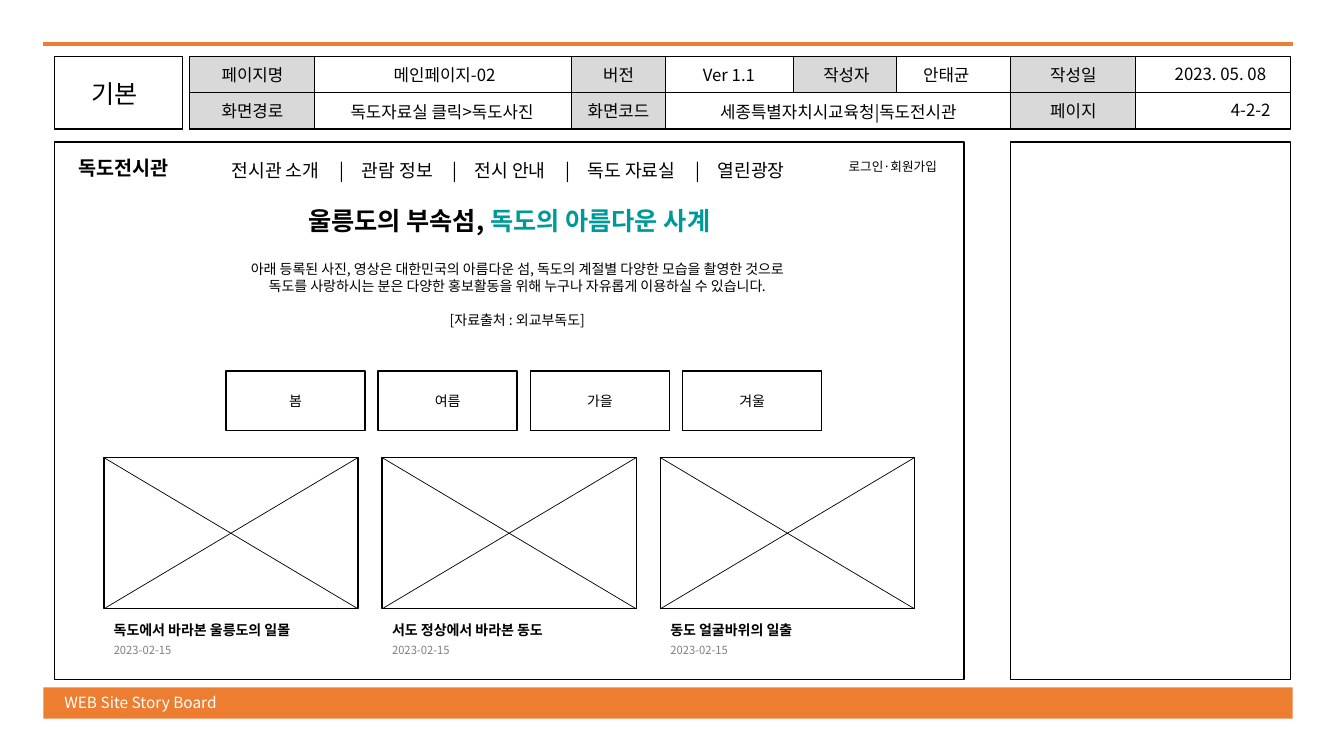
from dataclasses import dataclass

from lxml.etree import SubElement
from pptx import Presentation
from pptx.dml.color import RGBColor
from pptx.enum.shapes import MSO_CONNECTOR as CONN, MSO_SHAPE as SHAPE
from pptx.enum.text import MSO_ANCHOR as ANCHOR, MSO_AUTO_SIZE as FIT, PP_ALIGN as ALIGN
from pptx.oxml.ns import qn
from pptx.util import Emu, Pt

PX = 9144  # EMU in one px, 100 px to the inch


@dataclass(frozen=True)
class Theme:
    font: str = "Noto Sans CJK KR"
    ink: str = "000000"
    white: str = "FFFFFF"
    accent: str = "ED7D31"
    label: str = "D9D9D9"
    teal: str = "009999"
    muted: str = "808080"
    heading: int = 18
    brand: int = 14
    nav: int = 13
    cell: int = 12
    footer: int = 11
    body: int = 10
    login: int = 9
    date: int = 8


@dataclass(frozen=True)
class Box:
    x: int
    y: int
    w: int
    h: int


@dataclass(frozen=True)
class Label:
    text: str
    box: Box
    size: int
    align: ALIGN = ALIGN.CENTER
    color: str = "000000"
    bold: bool = False
    wrap: bool = True


@dataclass(frozen=True)
class Card:
    title: str
    date: str
    title_w: int


T = Theme()
LEFT, RIGHT = ALIGN.LEFT, ALIGN.RIGHT

PANELS = [Box(54, 56, 127, 72), Box(188, 56, 1092, 72),
          Box(54, 141, 902, 533), Box(1002, 141, 278, 533)]
LABEL_CELLS = [Box(188, 56, 124, 72), Box(567, 56, 93, 72),
               Box(1002, 56, 124, 72), Box(787, 56, 102, 36)]
LABELS = [
    Label("WEB Site Story Board", Box(54, 683, 226, 29), T.footer, LEFT, T.white),
    Label("기본", Box(76, 73, 75, 40), T.heading),
    Label("페이지명", Box(204, 59, 93, 30), T.cell),
    Label("화면경로", Box(204, 95, 93, 30), T.cell),
    Label("메인페이지-02", Box(331, 59, 220, 30), T.cell),
    Label("독도자료실 클릭>독도사진", Box(311, 96, 255, 30), T.cell),
    Label("버전", Box(585, 59, 57, 30), T.cell),
    Label("화면코드", Box(567, 95, 93, 30), T.cell),
    Label("Ver 1.1", Box(684, 59, 78, 30), T.cell),
    Label("세종특별자치시교육청|독도전시관", Box(686, 96, 291, 30), T.cell),
    Label("작성자", Box(802, 59, 75, 30), T.cell),
    Label("안태균", Box(901, 59, 75, 30), T.cell),
    Label("작성일", Box(1027, 59, 75, 30), T.cell),
    Label("페이지", Box(1027, 95, 75, 30), T.cell),
    Label("2023. 05. 08", Box(1150, 58, 121, 30), T.cell),
    Label("4-2-2", Box(1152, 94, 118, 30), T.cell, RIGHT),
    Label("독도전시관", Box(68, 150, 118, 34), T.brand, LEFT, bold=True, wrap=False),
    Label("로그인·회원가입", Box(828, 153, 111, 25), T.login, RIGHT, wrap=False),
]
NAV = ["전시관 소개", "관람 정보", "전시 안내", "독도 자료실", "열린광장"]
NAV_BARS = [109, 221, 333, 462]
NAV_GAP = 20
INTRO = ["아래 등록된 사진, 영상은 대한민국의 아름다운 섬, 독도의 계절별 다양한 모습을 촬영한 것으로",
         "독도를 사랑하시는 분은 다양한 홍보활동을 위해 누구나 자유롭게 이용하실 수 있습니다."]
SOURCE = "[자료출처 : 외교부독도]"
SEASONS = ["봄", "여름", "가을", "겨울"]
CARDS = [Card("독도에서 바라본 울릉도의 일몰", "2023-02-15", 217),
         Card("서도 정상에서 바라본 동도", "2023-02-15", 189),
         Card("동도 얼굴바위의 일출", "2023-02-15", 156)]


def place(sp, box: Box) -> None:
    sp.left, sp.top, sp.width, sp.height = (Emu(v * PX) for v in (box.x, box.y, box.w, box.h))


def add_rect(slide, box: Box, fill: str = "", outlined: bool = True) -> None:
    sp = slide.shapes.add_shape(SHAPE.RECTANGLE, 0, 0, 0, 0)
    place(sp, box)
    sp.shadow.inherit = False
    if fill:
        sp.fill.solid()
        sp.fill.fore_color.rgb = RGBColor.from_string(fill)
    else:
        sp.fill.background()
    if outlined:
        sp.line.color.rgb = RGBColor.from_string(T.ink)
        sp.line.width = Pt(1)
    else:
        sp.line.fill.background()


def add_line(slide, x1: int, y1: int, x2: int, y2: int, color: str, width: float) -> None:
    cx = slide.shapes.add_connector(CONN.STRAIGHT, *(Emu(v * PX) for v in (x1, y1, x2, y2)))
    cx.line.color.rgb = RGBColor.from_string(color)
    cx.line.width = Pt(width)
    SubElement(cx._element.spPr, qn("a:effectLst"))


def add_run(p, text: str, size: int, color: str = T.ink, bold: bool = False) -> None:
    r = p.add_run()
    r.text = text
    r.font.name = T.font
    r.font.size = Pt(size)
    r.font.bold = bold
    r.font.color.rgb = RGBColor.from_string(color)
    SubElement(r.font._element, qn("a:ea"), typeface=T.font)


def add_frame(slide, box: Box, wrap: bool = False):
    sp = slide.shapes.add_textbox(0, 0, 0, 0)
    place(sp, box)
    tf = sp.text_frame
    tf.word_wrap = wrap
    tf.auto_size = FIT.SHAPE_TO_FIT_TEXT
    return tf


def add_label(slide, label: Label) -> None:
    p = add_frame(slide, label.box, label.wrap).paragraphs[0]
    p.alignment = label.align
    add_run(p, label.text, label.size, label.color, label.bold)


def add_heading(slide) -> None:
    sp = slide.shapes.title
    place(sp, Box(272, 199, 466, 40))
    tf = sp.text_frame
    tf.word_wrap = False
    tf.auto_size = FIT.SHAPE_TO_FIT_TEXT
    tf.vertical_anchor = ANCHOR.TOP
    p = tf.paragraphs[0]
    p.alignment = ALIGN.CENTER
    add_run(p, "울릉도의 부속섬, ", T.heading, bold=True)
    add_run(p, "독도의 아름다운 사계", T.heading, T.teal, True)


def add_nav(slide) -> None:
    """Menu entries on left tab stops, with the bars on centred stops between them."""
    p = add_frame(slide, Box(220, 153, 568, 32), True).paragraphs[0]
    p.alignment = LEFT
    tabs = SubElement(p._p.get_or_add_pPr(), qn("a:tabLst"))
    for bar in NAV_BARS:
        SubElement(tabs, qn("a:tab"), pos=str(bar * PX), algn="ctr")
        SubElement(tabs, qn("a:tab"), pos=str((bar + NAV_GAP) * PX), algn="l")
    add_run(p, "\t|\t".join(NAV), T.nav)


def add_intro(slide) -> None:
    tf = add_frame(slide, Box(204, 254, 618, 77))
    p = tf.paragraphs[0]
    p.alignment = ALIGN.CENTER
    add_run(p, INTRO[0], T.body)
    p.add_line_break()
    add_run(p, INTRO[1], T.body)
    p = tf.add_paragraph()
    p.alignment = ALIGN.CENTER
    p.space_before = Pt(12)
    add_run(p, SOURCE, T.body)


def add_card(slide, x: int, card: Card) -> None:
    top, w, h = 454, 252, 150
    add_rect(slide, Box(x, top, w, h))
    add_line(slide, x, top, x + w, top + h, T.ink, 0.5)
    add_line(slide, x, top + h, x + w, top, T.ink, 0.5)
    add_label(slide, Label(card.title, Box(x, 612, card.title_w, 27), T.body, LEFT, bold=True, wrap=False))
    add_label(slide, Label(card.date, Box(x, 633, 78, 24), T.date, LEFT, T.muted, wrap=False))


def main() -> None:
    prs = Presentation()
    prs.slide_width, prs.slide_height = Emu(1333 * PX), Emu(750 * PX)
    slide = prs.slides.add_slide(prs.slide_layouts[5])
    add_rect(slide, Box(43, 682, 1239, 31), T.accent, outlined=False)
    add_line(slide, 43, 44, 1282, 44, T.accent, 3)
    for box in PANELS:
        add_rect(slide, box)
    for box in LABEL_CELLS:
        add_rect(slide, box, T.label)
    add_line(slide, 188, 92, 1280, 92, T.ink, 1)
    for label in LABELS:
        add_label(slide, label)
    add_heading(slide)
    add_nav(slide)
    add_intro(slide)
    for i, season in enumerate(SEASONS):
        x = 224 + 151 * i
        add_rect(slide, Box(x, 368, 138, 59), T.white)
        add_label(slide, Label(season, Box(x, 384, 138, 27), T.body))
    for i, card in enumerate(CARDS):
        add_card(slide, 103 + 276 * i, card)
    prs.save("out.pptx")


if __name__ == "__main__":
    main()
